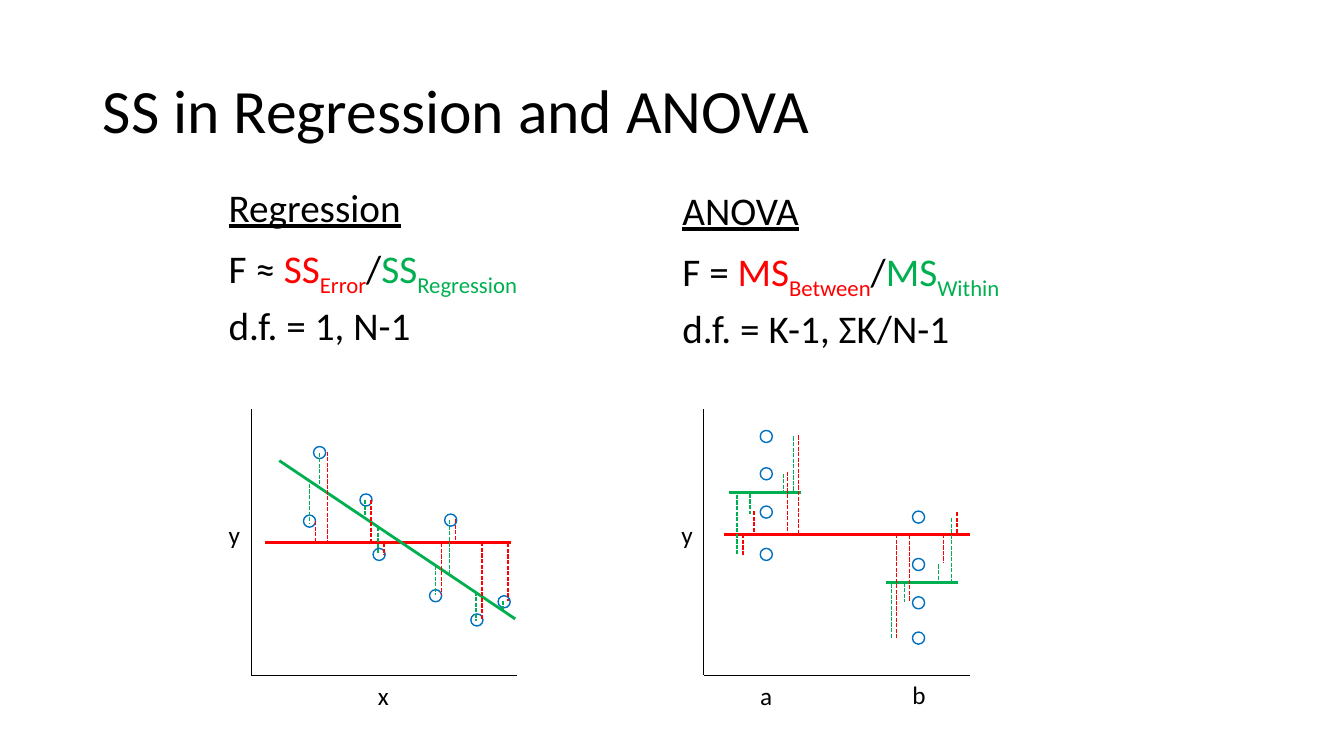
from lxml.etree import SubElement
from pptx import Presentation
from pptx.dml.color import RGBColor
from pptx.enum.dml import MSO_LINE_DASH_STYLE as Dash
from pptx.enum.shapes import MSO_CONNECTOR as Connector, MSO_SHAPE as Shape
from pptx.enum.text import MSO_ANCHOR as Anchor, MSO_AUTO_SIZE as AutoSize, PP_ALIGN as Align
from pptx.oxml.ns import qn
from pptx.util import Inches, Pt

COLORS = {"text": "000000", "red": "FF0000", "green": "00B050", "point": "0070C0"}
FONT = "Calibri"
POINT_SIZE = 0.12
AXIS_TOP, AXIS_BOTTOM, AXIS_WIDTH = 4.06, 6.7, 2.64


class SlideBuilder:
    """Holds the slide, the shapes being filled and the shared style."""

    def __init__(self, slide):
        self.slide = slide
        self.shapes = slide.shapes

    def start_group(self):
        self.shapes = self.slide.shapes.add_group_shape().shapes

    def end_group(self):
        self.shapes = self.slide.shapes

    def color(self, name):
        return RGBColor.from_string(COLORS[name])

    def format_run(self, run, size, color="text"):
        run.font.name = FONT
        run.font.size = Pt(size)
        run.font.color.rgb = self.color(color)

    def title(self, text, left, top, width, height):
        shape = self.slide.shapes.title
        shape.left, shape.top = Inches(left), Inches(top)
        shape.width, shape.height = Inches(width), Inches(height)
        frame = shape.text_frame
        frame.text = text
        frame.vertical_anchor = Anchor.MIDDLE
        paragraph = frame.paragraphs[0]
        paragraph.alignment = Align.LEFT
        paragraph.line_spacing = 0.9
        self.format_run(paragraph.runs[0], 44)

    def text_box(self, left, top, width, height):
        shape = self.shapes.add_textbox(*map(Inches, (left, top, width, height)))
        return shape.text_frame

    def formulas(self, left, top, width, height, heading, formula, freedom):
        """Underlined heading, coloured F ratio and degrees of freedom."""
        frame = self.text_box(left, top, width, height)
        frame.word_wrap = True
        lines = [[(heading, "text", False)], formula, [(freedom, "text", False)]]
        for index, parts in enumerate(lines):
            paragraph = frame.add_paragraph() if index else frame.paragraphs[0]
            paragraph.line_spacing = 0.9
            paragraph.space_before = Pt(10)
            for text, color, subscript in parts:
                run = paragraph.add_run()
                run.text = text
                self.format_run(run, 28, color)
                run.font.underline = index == 0
                if subscript:
                    run.font._element.set("baseline", "-25000")

    def label(self, text, left, top, width=0.32):
        frame = self.text_box(left, top, width, 0.4)
        frame.word_wrap = False
        frame.auto_size = AutoSize.SHAPE_TO_FIT_TEXT
        frame.text = text
        self.format_run(frame.paragraphs[0].runs[0], 18)

    def line(self, x1, y1, x2, y2, color, width, dashed=False):
        connector = self.shapes.add_connector(
            Connector.STRAIGHT, *map(Inches, (x1, y1, x2, y2)))
        connector.line.color.rgb = self.color(color)
        connector.line.width = Pt(width)
        if dashed:
            connector.line.dash_style = Dash.SQUARE_DOT
        SubElement(connector._element.spPr, qn("a:effectLst"))

    def axes(self, left):
        self.line(left, AXIS_TOP, left, AXIS_BOTTOM, "text", 0.5)
        self.line(left + AXIS_WIDTH, AXIS_BOTTOM, left, AXIS_BOTTOM, "text", 0.5)
        self.label("y", left - 0.32, 5.1)

    def points(self, positions):
        for left, top in positions:
            circle = self.shapes.add_shape(
                Shape.OVAL, *map(Inches, (left, top, POINT_SIZE, POINT_SIZE)))
            circle.shadow.inherit = False
            circle.fill.background()
            circle.line.color.rgb = self.color("point")
            circle.line.width = Pt(1)

    def deviations(self, color, spans):
        for x, top, bottom in spans:
            self.line(x, top, x, bottom, color, 1, dashed=True)


def ratio(sign, symbol, upper, lower):
    return [(f"F {sign} ", "text", False), (symbol, "red", False), (upper, "red", True),
            ("/", "text", False), (symbol, "green", False), (lower, "green", True)]


def regression_plot(builder):
    builder.start_group()
    builder.axes(2.49)
    builder.label("x", 3.65, AXIS_BOTTOM)
    builder.points([(4.67, 6.09), (3.11, 4.43), (3.01, 5.11), (3.57, 4.9),
                    (3.7, 5.44), (4.41, 5.1), (4.26, 5.85), (4.94, 5.91)])
    # Overall mean and fitted line
    builder.line(2.63, 5.38, 5.07, 5.38, "red", 2)
    builder.line(2.77, 4.57, 5.11, 6.14, "green", 2)
    # Distances to the fitted line, then to the mean
    builder.deviations("green", [
        (3.17, 4.49, 4.8), (3.07, 4.8, 5.19), (3.62, 4.96, 5.13), (3.75, 5.23, 5.49),
        (4.32, 5.61, 5.9), (4.46, 5.16, 5.68), (4.72, 5.87, 6.16), (4.99, 5.96, 6.05)])
    builder.deviations("red", [
        (3.25, 4.48, 5.37), (3.13, 5.17, 5.38), (3.68, 4.96, 5.38), (3.81, 5.39, 5.51),
        (4.52, 5.15, 5.37), (4.38, 5.39, 5.9), (4.78, 5.38, 6.14), (5.04, 5.39, 5.96)])
    builder.end_group()


def anova_plot(builder):
    builder.start_group()
    builder.axes(6.98)
    builder.label("a", 7.44, AXIS_BOTTOM)
    builder.label("b", 8.95, 6.69, 0.34)
    builder.points([(7.54, top) for top in (4.27, 4.64, 5.02, 5.44)])
    builder.points([(9.05, top) for top in (5.07, 5.54, 5.92, 6.27)])
    # Overall mean and the two group means
    builder.line(7.18, 5.3, 9.62, 5.3, "red", 2)
    for left, mean in ((7.23, 4.89), (8.79, 5.78)):
        builder.line(left, mean, left + 0.71, mean, "green", 2)
    # Distances to the group means, then to the overall mean
    builder.deviations("green", [
        (7.77, 4.7, 4.89), (7.44, 4.9, 5.1), (7.87, 4.33, 4.9), (7.31, 4.91, 5.5),
        (8.97, 5.78, 5.97), (8.84, 5.79, 6.33), (9.44, 5.14, 5.76), (9.31, 5.6, 5.76)])
    builder.deviations("red", [
        (7.81, 4.68, 5.3), (7.92, 4.32, 5.3), (7.48, 5.07, 5.29), (7.37, 5.3, 5.52),
        (9.49, 5.08, 5.3), (9.36, 5.3, 5.59), (9.02, 5.31, 5.97), (8.89, 5.3, 6.33)])
    builder.end_group()


def main():
    presentation = Presentation()
    presentation.slide_width, presentation.slide_height = Inches(13.33), Inches(7.5)
    title_only = presentation.slide_layouts[5]
    builder = SlideBuilder(presentation.slides.add_slide(title_only))

    # Title and formulas
    builder.title("SS in Regression and ANOVA", 0.92, 0.4, 11.5, 1.45)
    builder.formulas(6.67, 1.85, 5.1, 4.76, "ANOVA",
                     ratio("=", "MS", "Between", "Within"), "d.f. = K-1, ΣK/N-1")
    builder.formulas(2.17, 1.82, 4.14, 4.76, "Regression",
                     ratio("≈", "SS", "Error", "Regression"), "d.f. = 1, N-1")

    # Diagrams
    regression_plot(builder)
    anova_plot(builder)
    presentation.save("out.pptx")


if __name__ == "__main__":
    main()
